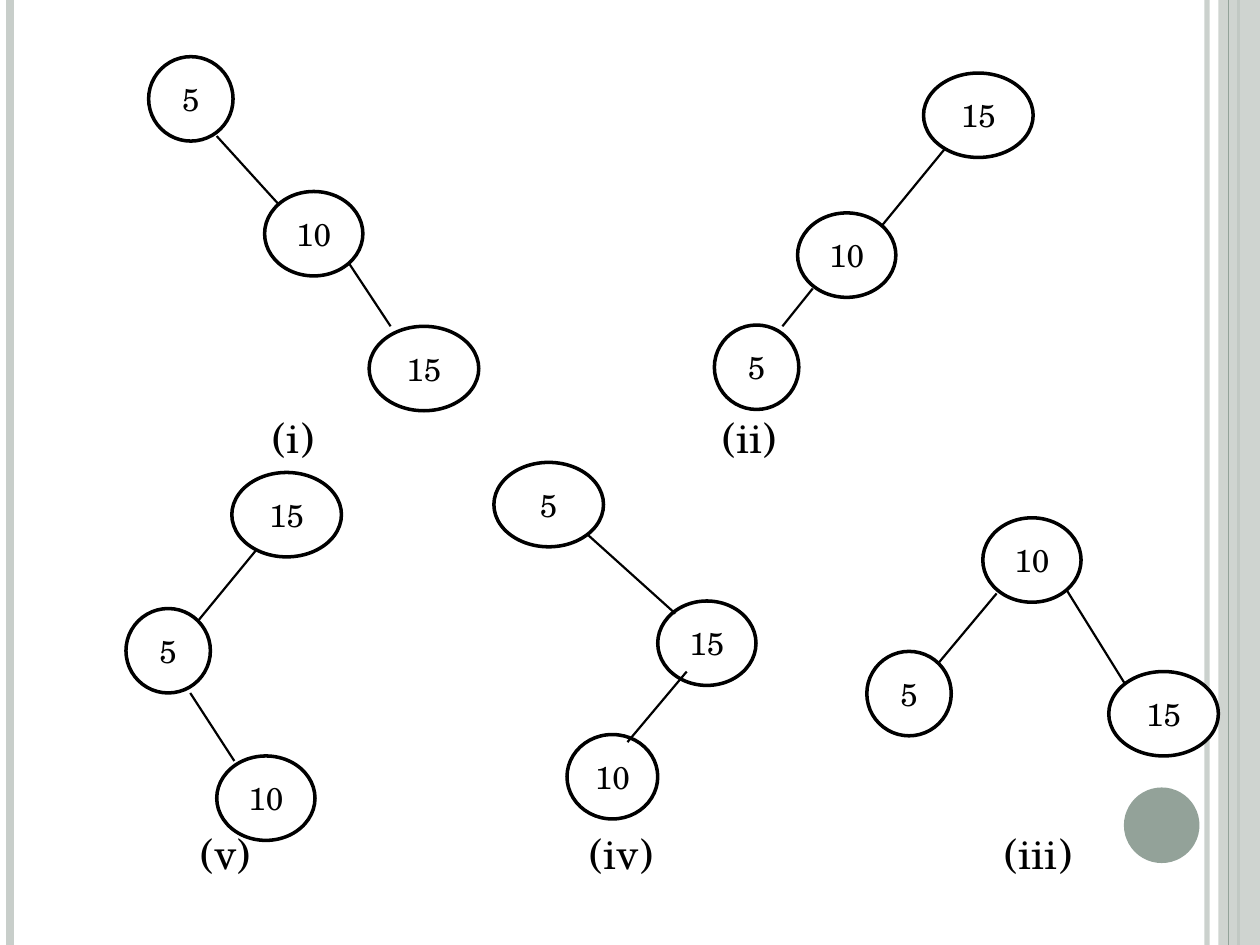
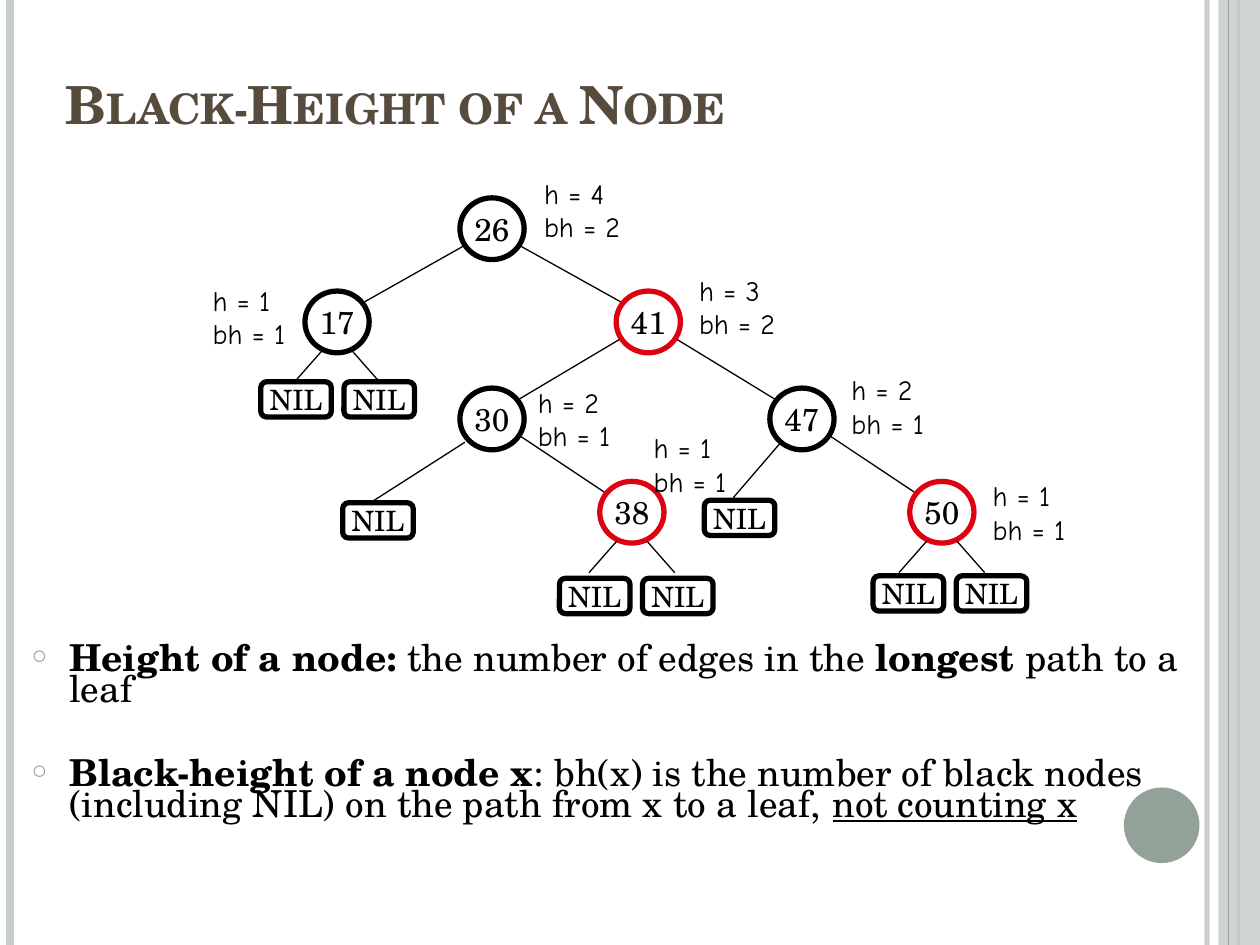
from pptx import Presentation
from pptx.dml.color import RGBColor
from pptx.enum.shapes import MSO_CONNECTOR, MSO_SHAPE
from pptx.enum.text import MSO_ANCHOR, MSO_AUTO_SIZE, PP_ALIGN
from pptx.oxml.ns import qn
from pptx.util import Inches, Pt
from lxml.etree import SubElement

SERIF, HAND = "TeX Gyre Schola", "Comic Neue"
BLACK, WHITE, RED = "000000", "FFFFFF", "DD0111"
SAGE, PALE, BROWN = "93A299", "C8CECA", "564B3C"

# label, left, top, width of every node; then the ends of every edge
BST_SHAPES = [
    {"caption": ("(i)", 2.33, 3.47),
     "nodes": [("5", 1.18, 0.45, 0.67), ("10", 2.1, 1.52, 0.78), ("15", 2.93, 2.59, 0.87)],
     "edges": [(2.77, 2.09, 3.1, 2.59), (1.72, 1.08, 2.21, 1.62)]},
    {"caption": ("(ii)", 5.95, 3.47),
     "nodes": [("5", 5.67, 2.58, 0.67), ("10", 6.33, 1.69, 0.78), ("15", 7.33, 0.58, 0.87)],
     "edges": [(7, 1.79, 7.5, 1.18), (6.21, 2.59, 6.45, 2.29)]},
    {"caption": ("(v)", 1.79, 6.77),
     "nodes": [("5", 1, 4.83, 0.67), ("10", 1.72, 6, 0.78), ("15", 1.84, 3.75, 0.87)],
     "edges": [(1.86, 6.04, 1.51, 5.5), (1.57, 4.93, 2.03, 4.37)]},
    {"caption": ("(iv)", 4.93, 6.77),
     "nodes": [("10", 4.5, 5.83, 0.72), ("15", 5.22, 4.77, 0.78), ("5", 3.92, 3.67, 0.87)],
     "edges": [(5.36, 4.87, 4.66, 4.24), (4.98, 5.89, 5.45, 5.33)]},
    {"caption": ("(iii)", 8.24, 6.77),
     "nodes": [("5", 6.88, 5.17, 0.67), ("10", 7.8, 4.11, 0.78), ("15", 8.8, 5.33, 0.87)],
     "edges": [(8.47, 4.69, 8.93, 5.43), (7.45, 5.26, 7.91, 4.71)]},
]

# key: left, top, colour, (h, bh), left and top of the height note
RED_BLACK = {
    "26": (3.65, 1.57, BLACK, (4, 2), 4.22, 1.35),
    "17": (2.42, 2.31, BLACK, (1, 1), 1.59, 2.2),
    "41": (4.89, 2.31, RED, (3, 2), 5.45, 2.12),
    "30": (3.65, 3.08, BLACK, (2, 1), 4.17, 3.01),
    "47": (6.11, 3.08, BLACK, (2, 1), 6.66, 2.91),
    "38": (4.76, 3.82, RED, (1, 1), 5.09, 3.37),
    "50": (7.22, 3.82, RED, (1, 1), 7.78, 3.75),
}
CHILDREN = [("26", "17"), ("26", "41"), ("41", "30"), ("41", "47"), ("30", "38"), ("47", "50")]
NIL_PAIRS = {"17": (2.07, 3.03), "38": (4.44, 4.59), "50": (6.93, 4.57)}
LONE_NILS = [((2.72, 3.99), (3.69, 3.51, 2.94, 3.99)), ((5.59, 3.97), (6.19, 3.52, 5.82, 3.95))]
NODE_W, NODE_H, NIL_W, NIL_H, NIL_STEP = 0.51, 0.49, 0.56, 0.28, 0.66

HEADING = "Black-Height of a Node"
DEFINITIONS = [
    [("Height of a node:", {"bold": True}), (" the number of edges in the ", {}),
     ("longest ", {"bold": True}), ("path to a leaf", {})],
    [("Black-height of a node x", {"bold": True}),
     (": bh(x) is the number of black nodes (including NIL) on the path from x to a leaf, ", {}),
     ("not counting x", {"underline": True})],
]


def rgb(colour):
    return RGBColor.from_string(colour)


def place(part, left, top, width, height):
    part.left, part.top, part.width, part.height = map(Inches, (left, top, width, height))


def write(part, paragraphs, size=18, font=SERIF, colour=BLACK, bold=False, small_caps=False,
          align=PP_ALIGN.CENTER, anchor=MSO_ANCHOR.MIDDLE, wrap=False, bullet=None,
          spacing=None, gap=0):
    """Fill a part with paragraphs, each a string or a list of (text, overrides) runs."""
    frame = part.text_frame
    frame.auto_size, frame.word_wrap, frame.vertical_anchor = MSO_AUTO_SIZE.NONE, wrap, anchor
    for index, runs in enumerate(paragraphs):
        para = frame.add_paragraph() if index else frame.paragraphs[0]
        if bullet:
            add_bullet(para, bullet)
        para.alignment, para.line_spacing = align, spacing
        para.space_before = Pt(gap if index else 0)
        for text, overrides in [(runs, {})] if isinstance(runs, str) else runs:
            run = para.add_run()
            run.text = text
            run.font.name, run.font.size = font, Pt(size)
            run.font.color.rgb = rgb(colour)
            run.font.bold = overrides.get("bold", bold)
            run.font.underline = overrides.get("underline", False)
            if small_caps:
                run.font._element.set("cap", "small")


def add_bullet(para, symbol):
    props = para._p.get_or_add_pPr()
    props.set("marL", str(Inches(0.3)))
    props.set("indent", str(Inches(-0.3)))
    tint = SubElement(props, qn("a:buClr"))
    SubElement(tint, qn("a:srgbClr")).set("val", SAGE)
    SubElement(props, qn("a:buSzPct")).set("val", "70000")
    SubElement(props, qn("a:buChar")).set("char", symbol)


def set_opacity(part, percent):
    for tint in part._element.iter(qn("a:srgbClr")):
        SubElement(tint, qn("a:alpha")).set("val", str(percent * 1000))


def add_line(slide, ends, colour=BLACK, weight=0.75):
    line = slide.shapes.add_connector(MSO_CONNECTOR.STRAIGHT, *map(Inches, ends))
    line.line.color.rgb, line.line.width = rgb(colour), Pt(weight)
    SubElement(line._element.spPr, qn("a:effectLst"))
    return line


def add_figure(slide, kind, box, fill=None, outline=None, weight=0):
    figure = slide.shapes.add_shape(kind, *map(Inches, box))
    figure.shadow.inherit = False
    if fill:
        figure.fill.solid()
        figure.fill.fore_color.rgb = rgb(fill)
    else:
        figure.fill.background()
    if outline:
        figure.line.color.rgb, figure.line.width = rgb(outline), Pt(weight)
    else:
        figure.line.fill.background()
    return figure


def add_text(slide, box, paragraphs, **style):
    write(slide.shapes.add_textbox(*map(Inches, box)), paragraphs, **style)


def add_frame(slide):
    """Draw the side bands and the disc that every slide carries."""
    set_opacity(add_line(slide, (9.58, 0, 9.58, 7.5), PALE, 3), 93)
    add_line(slide, (0.08, 0, 0.08, 7.5), PALE, 4.5)
    add_line(slide, (9.83, 0, 9.83, 7.5), SAGE, 1.5)
    set_opacity(add_figure(slide, MSO_SHAPE.RECTANGLE, (9.67, 0, 0.33, 7.5), PALE), 87)
    add_line(slide, (9.75, 0, 9.75, 7.5), SAGE, 0.75)
    add_figure(slide, MSO_SHAPE.OVAL, (8.92, 6.25, 0.6, 0.6), SAGE)


def add_nil(slide, left, top):
    nil = add_figure(slide, MSO_SHAPE.ROUNDED_RECTANGLE, (left, top, NIL_W, NIL_H),
                     outline=BLACK, weight=3)
    write(nil, ["NIL"], size=16)


def node_centre(key):
    left, top = RED_BLACK[key][:2]
    return left + NODE_W / 2, top + NODE_H / 2


def build_bst_slide(prs):
    slide = prs.slides.add_slide(prs.slide_layouts[6])
    add_frame(slide)
    for tree in BST_SHAPES:
        caption, centre, middle = tree["caption"]
        add_text(slide, (centre - 0.5, middle - 0.25, 1, 0.5), [caption], size=24)
        for label, left, top, width in tree["nodes"]:
            node = add_figure(slide, MSO_SHAPE.OVAL, (left, top, width, 0.67), WHITE, BLACK, 2)
            write(node, [label])
        for ends in tree["edges"]:
            add_line(slide, ends, weight=1.25)


def build_black_height_slide(prs):
    slide = prs.slides.add_slide(prs.slide_layouts[1])
    add_frame(slide)
    heading, definitions = slide.shapes.title, slide.placeholders[1]
    place(heading, 0.42, 0.43, 6.87, 0.69)
    write(heading, [HEADING], size=30, colour=BROWN, bold=True, small_caps=True,
          align=PP_ALIGN.LEFT, anchor=MSO_ANCHOR.BOTTOM, wrap=True)
    place(definitions, 0.15, 5.08, 9.56, 1.51)
    write(definitions, DEFINITIONS, size=21.2, align=PP_ALIGN.LEFT, anchor=MSO_ANCHOR.TOP,
          wrap=True, bullet="○", spacing=0.7, gap=30)

    for key, (left, top, colour, *_) in RED_BLACK.items():
        node = add_figure(slide, MSO_SHAPE.OVAL, (left, top, NODE_W, NODE_H),
                          outline=colour, weight=3)
        write(node, [key])
    for parent, child in CHILDREN:
        (px, py), (cx, cy) = node_centre(parent), node_centre(child)
        side = 1 if cx > px else -1
        add_line(slide, (px + side * 0.23, py + 0.14, cx - side * 0.22, cy - 0.16))
    for parent, (left, top) in NIL_PAIRS.items():
        px, py = node_centre(parent)
        for index, side in enumerate((-1, 1)):
            add_nil(slide, left + index * NIL_STEP, top)
            add_line(slide, (px + side * 0.12, py + 0.23, px + side * 0.34, py + 0.48))
    for corner, ends in LONE_NILS:
        add_nil(slide, *corner)
        add_line(slide, ends)
    for *_, (height, black_height), left, top in RED_BLACK.values():
        add_text(slide, (left, top, 0.84, 0.64), [f"h = {height}", f"bh = {black_height}"],
                 size=16, font=HAND, align=PP_ALIGN.LEFT, anchor=MSO_ANCHOR.TOP)


def main():
    prs = Presentation()
    prs.slide_width, prs.slide_height = Inches(10), Inches(7.5)
    build_bst_slide(prs)
    build_black_height_slide(prs)
    prs.save("out.pptx")


if __name__ == "__main__":
    main()
